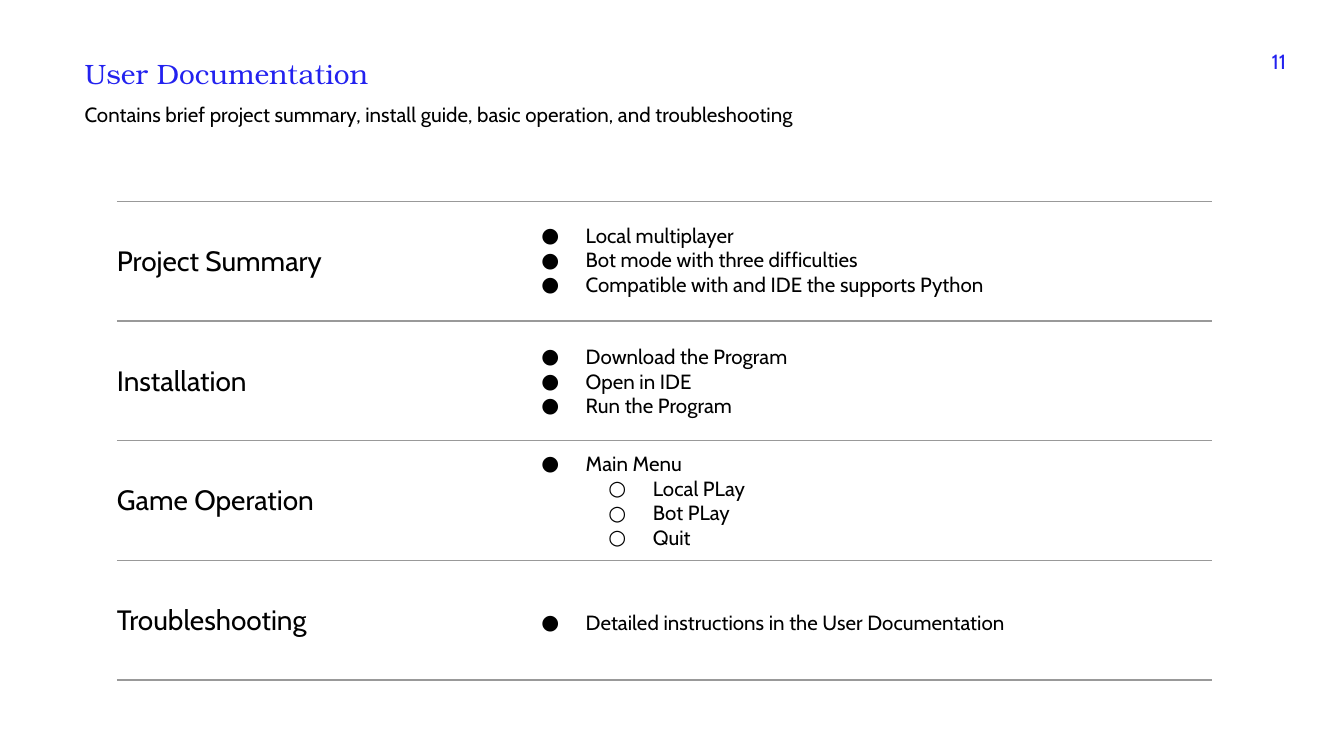
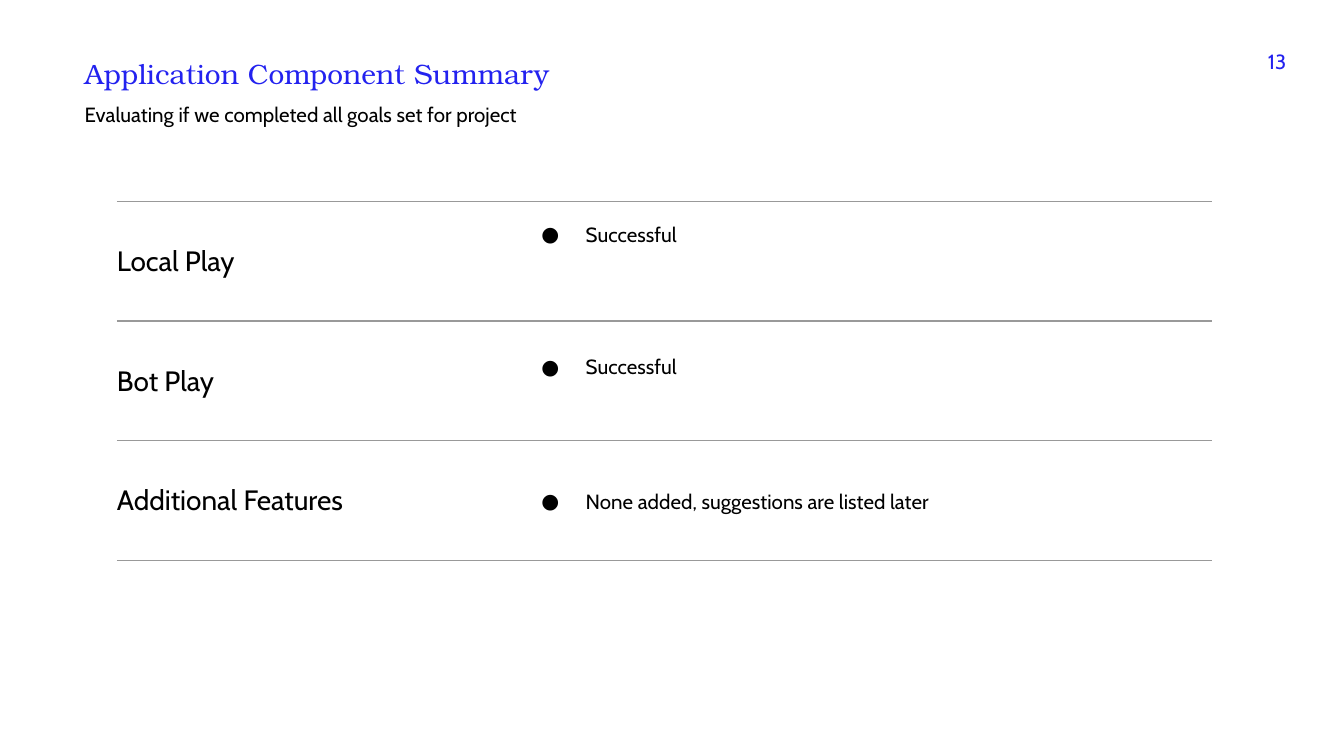
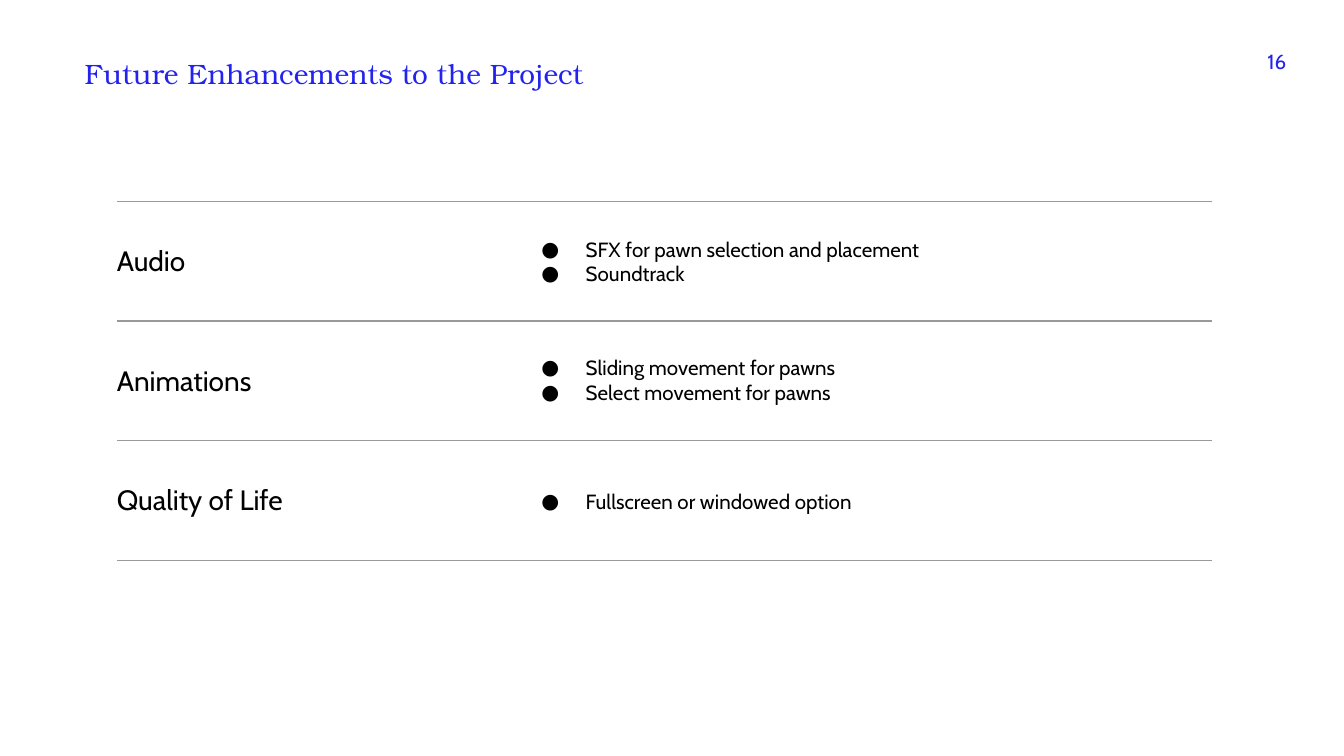
from dataclasses import dataclass

from lxml.etree import SubElement
from pptx import Presentation
from pptx.dml.color import RGBColor
from pptx.enum.shapes import MSO_CONNECTOR
from pptx.enum.text import MSO_ANCHOR, PP_ALIGN
from pptx.oxml.ns import qn
from pptx.util import Cm, Pt


@dataclass(frozen=True)
class Theme:
    accent: str = "2322EF"
    ink: str = "000000"
    rule: str = "999999"
    background: str = "FFFFFF"
    title_font: str = "TeX Gyre Bonum"
    body_font: str = "Cabin"
    heading_size: int = 15
    body_size: int = 11
    rule_width: float = 0.75
    inset: float = 0.25


@dataclass(frozen=True)
class Box:
    """A region of the slide, in centimetres."""
    left: float
    top: float
    width: float
    height: float

    def inner(self, left, top, width, height):
        """Return a box whose corner is measured from this one."""
        return Box(self.left + left, self.top + top, width, height)


@dataclass(frozen=True)
class Topic:
    heading: str
    details: tuple
    nested: tuple = ()
    anchor: MSO_ANCHOR = MSO_ANCHOR.TOP


@dataclass(frozen=True)
class TopicPage:
    number: int
    title: str
    topics: tuple
    subtitle: str = ""


THEME = Theme()
HEADER = Box(1.35, 0.69, 23.21, 2.05)
TOPICS = Box(2.21, 3.81, 20.7, 9.04)
ROW_HEIGHT = 2.26
DETAIL_HEIGHTS = (1.96, 1.47, 0.91, 0.86)
BULLETS = ("●", "○")
BULLET_INDENT = 1.27
BULLET_HANG = 0.84

PAGES = (
    TopicPage(
        11,
        "User Documentation",
        (
            Topic("Project Summary", (
                "Local multiplayer",
                "Bot mode with three difficulties",
                "Compatible with and IDE the supports Python",
            )),
            Topic("Installation",
                  ("Download the Program", "Open in IDE", "Run the Program"),
                  anchor=MSO_ANCHOR.MIDDLE),
            Topic("Game Operation", ("Main Menu",),
                  nested=("Local PLay", "Bot PLay", "Quit"),
                  anchor=MSO_ANCHOR.MIDDLE),
            Topic("Troubleshooting",
                  ("Detailed instructions in the User Documentation",)),
        ),
        "Contains brief project summary, install guide, basic operation, "
        "and troubleshooting",
    ),
    TopicPage(
        13,
        "Application Component Summary",
        (
            Topic("Local Play", ("Successful",)),
            Topic("Bot Play", ("Successful",)),
            Topic("Additional Features",
                  ("None added, suggestions are listed later",)),
        ),
        "Evaluating if we completed all goals set for project",
    ),
    TopicPage(
        16,
        "Future Enhancements to the Project",
        (
            Topic("Audio",
                  ("SFX for pawn selection and placement", "Soundtrack"),
                  anchor=MSO_ANCHOR.MIDDLE),
            Topic("Animations",
                  ("Sliding movement for pawns", "Select movement for pawns")),
            Topic("Quality of Life", ("Fullscreen or windowed option",)),
        ),
    ),
)


def add_bullet(paragraph, level):
    paragraph.level = level
    properties = paragraph._p.get_or_add_pPr()
    properties.set("marL", str(Cm(BULLET_INDENT * (level + 1))))
    properties.set("indent", str(-Cm(BULLET_HANG)))
    color = SubElement(properties, qn("a:buClr"))
    SubElement(color, qn("a:srgbClr"), val=THEME.ink)
    SubElement(properties, qn("a:buFont"), typeface=THEME.body_font)
    SubElement(properties, qn("a:buChar"), char=BULLETS[level])


def add_text(slide, box, lines, *, size=THEME.body_size, font=THEME.body_font,
             color=THEME.ink, align=PP_ALIGN.LEFT, anchor=MSO_ANCHOR.TOP,
             levels=None):
    """Add one paragraph per line; levels, if given, makes them bullets."""
    shape = slide.shapes.add_textbox(
        Cm(box.left), Cm(box.top), Cm(box.width), Cm(box.height))
    frame = shape.text_frame
    frame.word_wrap = True
    frame.vertical_anchor = anchor
    frame.margin_left = frame.margin_right = Cm(THEME.inset)
    frame.margin_top = frame.margin_bottom = Cm(THEME.inset)
    for index, line in enumerate(lines):
        paragraph = frame.add_paragraph() if index else frame.paragraphs[0]
        paragraph.alignment = align
        if levels:
            add_bullet(paragraph, levels[index])
        run = paragraph.add_run()
        run.text = line
        run.font.name = font
        run.font.size = Pt(size)
        run.font.color.rgb = RGBColor.from_string(color)


def add_rule(slide, left, top, width):
    rule = slide.shapes.add_connector(
        MSO_CONNECTOR.STRAIGHT, Cm(left), Cm(top), Cm(left + width), Cm(top))
    rule.line.color.rgb = RGBColor.from_string(THEME.rule)
    rule.line.width = Pt(THEME.rule_width)
    SubElement(rule._element.spPr, qn("a:effectLst"))


def add_header(slide, box, page):
    if page.subtitle:
        add_text(slide, box.inner(0, 1.01, 15.7, 1.04), [page.subtitle])
    add_text(slide, box.inner(0, 0.12, 10.2, 0.94), [page.title],
             size=THEME.heading_size, font=THEME.title_font,
             color=THEME.accent)
    number_width = 0.97
    add_text(slide, box.inner(box.width - number_width, 0, number_width, 0.48),
             [str(page.number)], color=THEME.accent, align=PP_ALIGN.RIGHT)


def add_topic(slide, row, topic, detail_height):
    """Put the heading at the left and the bullets centred in the row."""
    add_text(slide, row.inner(-THEME.inset, 0.55, 5.66, 1.06), [topic.heading],
             size=THEME.heading_size)
    detail_left = 7.34
    detail_box = row.inner(detail_left, (row.height - detail_height) / 2,
                           row.width - detail_left, detail_height)
    add_text(slide, detail_box, topic.details + topic.nested,
             anchor=topic.anchor,
             levels=[0] * len(topic.details) + [1] * len(topic.nested))


def add_topic_list(slide, box, topics):
    for index, (topic, height) in enumerate(zip(topics, DETAIL_HEIGHTS)):
        row = box.inner(0, index * ROW_HEIGHT, box.width, ROW_HEIGHT)
        add_topic(slide, row, topic, height)
    for index in range(len(topics) + 1):
        add_rule(slide, box.left, box.top + index * ROW_HEIGHT, box.width)


def add_topic_slide(presentation, page):
    slide = presentation.slides.add_slide(presentation.slide_layouts[6])
    fill = slide.background.fill
    fill.solid()
    fill.fore_color.rgb = RGBColor.from_string(THEME.background)
    add_topic_list(slide, TOPICS, page.topics)
    add_header(slide, HEADER, page)


def main():
    presentation = Presentation()
    presentation.slide_width = Cm(25.4)
    presentation.slide_height = Cm(14.29)
    for page in PAGES:
        add_topic_slide(presentation, page)
    presentation.save("out.pptx")


if __name__ == "__main__":
    main()
